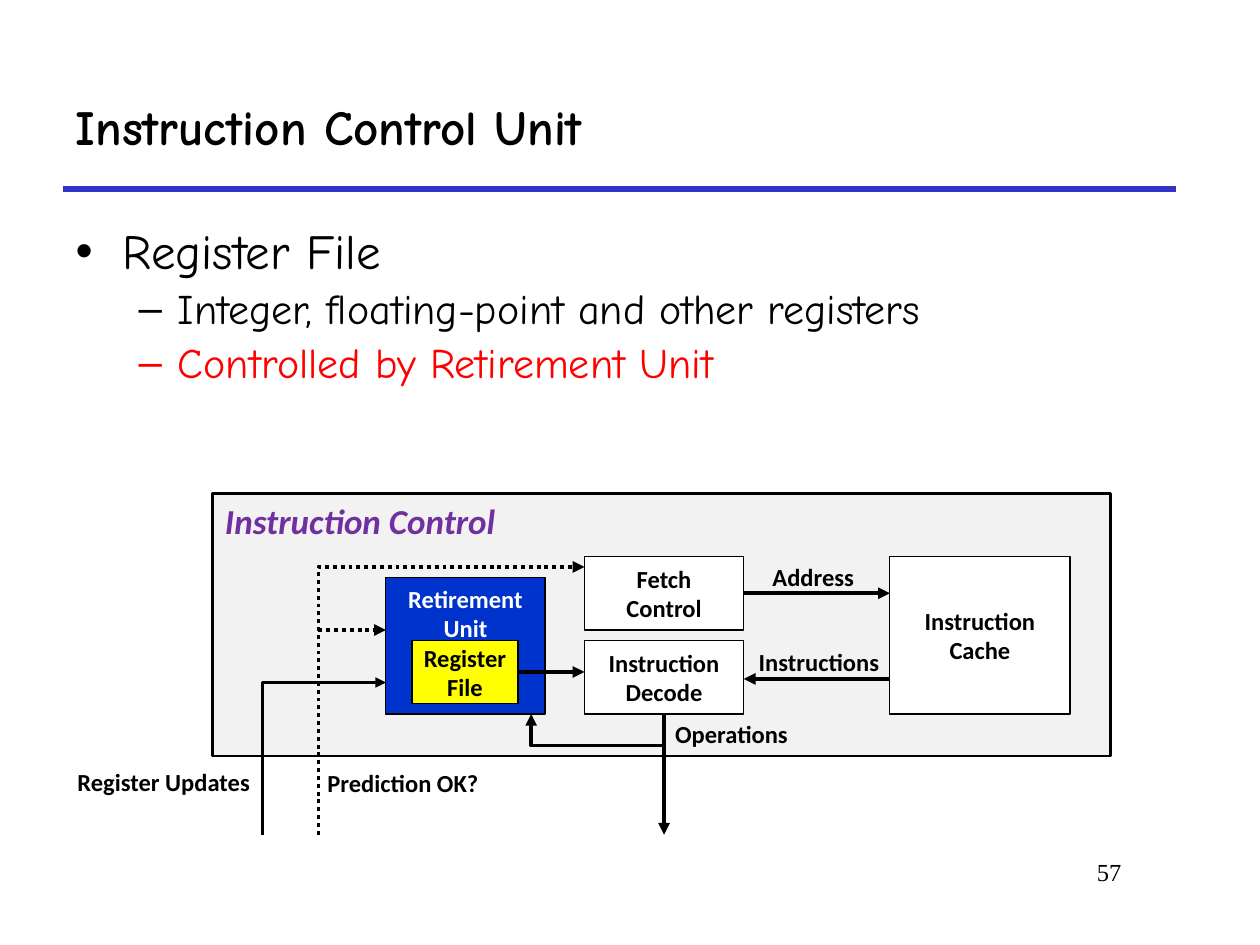
from lxml.etree import SubElement
from pptx import Presentation
from pptx.dml.color import RGBColor
from pptx.enum.dml import MSO_LINE
from pptx.enum.shapes import MSO_CONNECTOR, MSO_SHAPE
from pptx.enum.text import MSO_ANCHOR, MSO_AUTO_SIZE, PP_ALIGN
from pptx.oxml.ns import qn
from pptx.util import Pt

BLACK = RGBColor(0x00, 0x00, 0x00)
WHITE = RGBColor(0xFF, 0xFF, 0xFF)
RED = RGBColor(0xFF, 0x00, 0x00)
YELLOW = RGBColor(0xFF, 0xFF, 0x00)
PURPLE = RGBColor(0x70, 0x30, 0xA0)
GREY = RGBColor(0xF2, 0xF2, 0xF2)
UNIT_BLUE = RGBColor(0x00, 0x33, 0xCC)
RULE_BLUE = RGBColor(0x33, 0x33, 0xCC)
HEADING_FONT = "Comic Neue"
DIAGRAM_FONT = "Calibri"


def format_font(font, name, size, color=BLACK, bold=False, italic=False):
    """Set the typeface, size, colour and weight of a font."""
    font.name, font.size, font.bold, font.italic = name, Pt(size), bold, italic
    font.color.rgb = color


def place(element, left, top, width, height):
    """Move and size an element, in points."""
    element.left, element.top = Pt(left), Pt(top)
    element.width, element.height = Pt(width), Pt(height)


def write(frame, wording, align, name=DIAGRAM_FONT, size=14, color=BLACK,
          bold=True, italic=False):
    """Fill an unwrapped text frame with evenly formatted paragraphs."""
    frame.text = wording
    frame.word_wrap = False
    for paragraph in frame.paragraphs:
        paragraph.alignment = align
        for run in paragraph.runs:
            format_font(run.font, name, size, color, bold, italic)


def add_title(slide, wording):
    """Write the slide title in its placeholder."""
    title = slide.shapes.title
    place(title, 36, 36, 636, 72)
    write(title.text_frame, wording, PP_ALIGN.LEFT, HEADING_FONT, 28)
    title.text_frame.word_wrap = True
    title.text_frame.vertical_anchor = MSO_ANCHOR.MIDDLE


def add_bullets(slide, items):
    """Write (wording, level, colour) items in the body placeholder."""
    body = slide.placeholders[1]
    place(body, 36, 126, 654, 348)
    frame = body.text_frame
    frame.text = "\n".join(wording for wording, level, color in items)
    frame.auto_size = MSO_AUTO_SIZE.NONE
    styles = [("•", 27, -27, 28), ("–", 58.5, -22.5, 24)]
    for position, (paragraph, item) in enumerate(zip(frame.paragraphs, items)):
        wording, level, color = item
        mark, margin, indent, size = styles[level]
        paragraph.level = level
        properties = paragraph._p.get_or_add_pPr()
        properties.set("marL", str(Pt(margin)))
        properties.set("indent", str(Pt(indent)))
        SubElement(properties, qn("a:buChar")).set("char", mark)
        paragraph.line_spacing = 0.9
        paragraph.space_before = Pt(0.2 * size if position else 0)
        format_font(paragraph.font, HEADING_FONT, size, color)


def add_block(slide, wording, left, top, width, height, fill=WHITE, border=0.75,
              anchor=MSO_ANCHOR.MIDDLE, align=PP_ALIGN.CENTER, **style):
    """Draw one outlined unit of the diagram."""
    block = slide.shapes.add_shape(MSO_SHAPE.RECTANGLE, Pt(left), Pt(top),
                                   Pt(width), Pt(height))
    block.shadow.inherit = False
    block.fill.solid()
    block.fill.fore_color.rgb = fill
    block.line.color.rgb = BLACK
    block.line.width = Pt(border)
    write(block.text_frame, wording, align, **style)
    block.text_frame.vertical_anchor = anchor


def add_label(slide, wording, left, top, width, height=24.5,
              align=PP_ALIGN.CENTER, **style):
    """Add free-standing text."""
    label = slide.shapes.add_textbox(Pt(left), Pt(top), Pt(width), Pt(height))
    write(label.text_frame, wording, align, **style)


def add_route(slide, stops, weight=2.25, color=BLACK, dotted=False, arrow=True):
    """Draw a straight or bent line through the stops, ending in an arrow."""
    points = [(Pt(x), Pt(y)) for x, y in stops]
    if len(points) == 2:
        route = slide.shapes.add_connector(MSO_CONNECTOR.STRAIGHT,
                                           *points[0], *points[1])
    else:
        builder = slide.shapes.build_freeform(*points[0])
        builder.add_line_segments(points[1:], close=False)
        route = builder.convert_to_shape()
        route.fill.background()
    route.line.color.rgb = color
    route.line.width = Pt(weight)
    if dotted:
        route.line.dash_style = MSO_LINE.ROUND_DOT
    if arrow:
        outline = route.line._get_or_add_ln()
        SubElement(outline, qn("a:tailEnd")).set("type", "triangle")
    SubElement(route._element.spPr, qn("a:effectLst"))


def add_units(slide):
    """Draw the instruction control frame and the units inside it."""
    add_block(slide, "Instruction Control", 121.5, 282, 513, 150, GREY, 1.5,
              MSO_ANCHOR.TOP, PP_ALIGN.LEFT, size=20, color=PURPLE, italic=True)
    add_block(slide, "Instruction\nCache", 508.5, 318, 103, 90)
    add_block(slide, "Fetch\nControl", 334, 318, 91, 42)
    add_block(slide, "Instruction\nDecode", 334, 366, 91, 42)
    add_block(slide, "Retirement\nUnit", 220.5, 330, 91, 78, UNIT_BLUE,
              anchor=MSO_ANCHOR.TOP, color=WHITE)
    add_block(slide, "Register\nFile", 235.5, 366, 60.5, 36, YELLOW)


def add_signals(slide):
    """Draw the signals between the units and their names."""
    add_route(slide, [(425, 339), (508.5, 339)])
    add_route(slide, [(508.5, 388), (425, 388)])
    add_route(slide, [(296, 384), (334, 384)])
    add_route(slide, [(379.5, 408), (379.5, 477)])
    add_route(slide, [(379.5, 426), (303.5, 426), (303.5, 408)])
    add_route(slide, [(182, 477), (182, 324), (334, 324)], dotted=True)
    add_route(slide, [(182, 360), (220.5, 360)], dotted=True)
    add_route(slide, [(150, 477), (150, 390), (220.5, 390)], weight=1.5)
    add_label(slide, "Address", 434, 317.5, 61.5)
    add_label(slide, "Instructions", 426, 366, 84)
    add_label(slide, "Operations", 378, 407.5, 80)
    add_label(slide, "Prediction OK?", 180, 435.5, 101.5, align=PP_ALIGN.LEFT)
    add_label(slide, "Register Updates", 36, 435, 114, align=PP_ALIGN.RIGHT)


def main():
    """Build the instruction control unit slide."""
    deck = Presentation()
    deck.slide_width, deck.slide_height = Pt(720), Pt(540)
    slide = deck.slides.add_slide(deck.slide_layouts[1])
    add_route(slide, [(36, 108), (672, 108)], 3, RULE_BLUE, arrow=False)
    add_title(slide, "Instruction Control Unit")
    add_bullets(slide, [
        ("Register File", 0, BLACK),
        ("Integer, floating-point and other registers", 1, BLACK),
        ("Controlled by Retirement Unit", 1, RED),
    ])
    add_units(slide)
    add_signals(slide)
    add_label(slide, "57", 546, 486, 102, 36, PP_ALIGN.RIGHT,
              name="Times New Roman", bold=False)
    deck.save("out.pptx")


if __name__ == "__main__":
    main()
